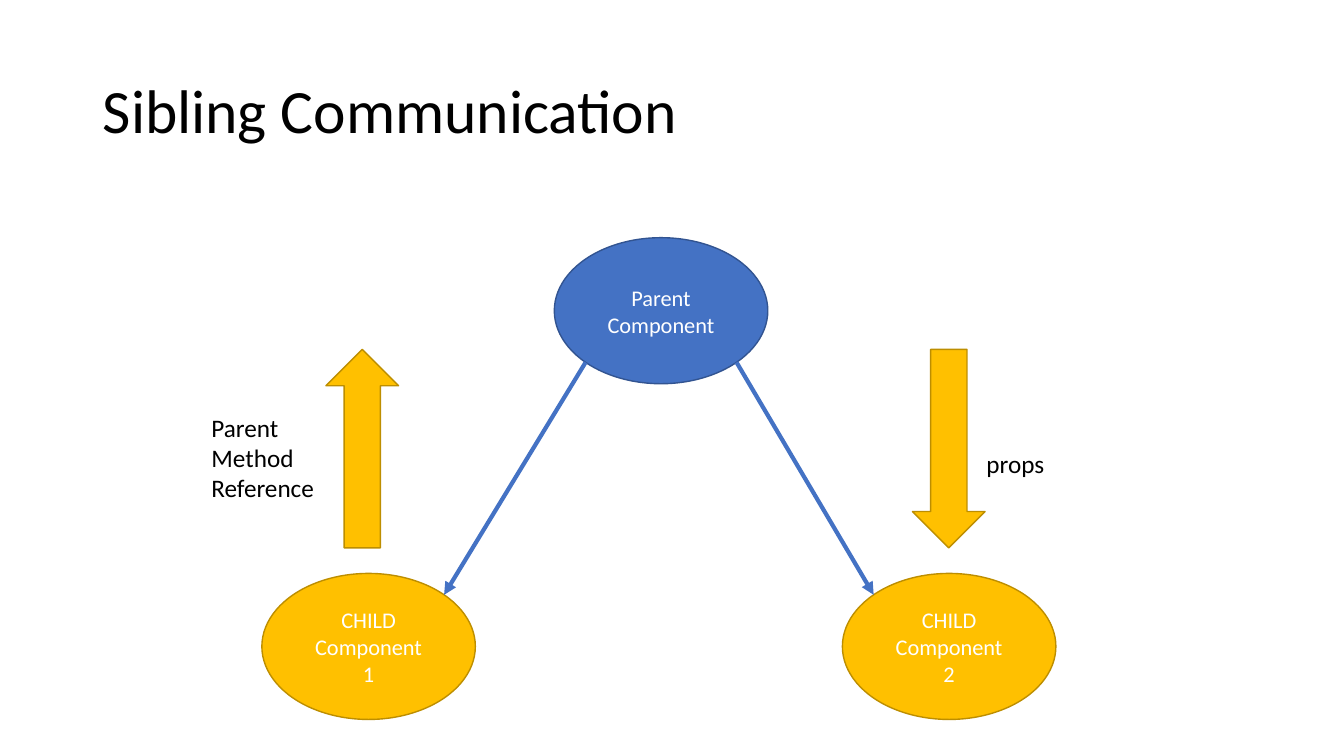
import math
import pptx
import pptx.util
import pptx.dml.color
import pptx.enum.shapes
import pptx.enum.text
import pptx.oxml.ns
import lxml.etree

Cm = pptx.util.Cm
Pt = pptx.util.Pt
RGBColor = pptx.dml.color.RGBColor
Shape = pptx.enum.shapes.MSO_SHAPE
Align = pptx.enum.text.PP_ALIGN
Anchor = pptx.enum.text.MSO_ANCHOR
Fit = pptx.enum.text.MSO_AUTO_SIZE

BLACK = RGBColor(0x00, 0x00, 0x00)
WHITE = RGBColor(0xFF, 0xFF, 0xFF)
BLUE = RGBColor(0x44, 0x72, 0xC4)
NAVY = RGBColor(0x32, 0x54, 0x91)
GOLD = RGBColor(0xFF, 0xC0, 0x00)
BROWN = RGBColor(0xBD, 0x8E, 0x00)
FONT = "Calibri"
NODE_W, NODE_H = 5.38, 3.68
ARROW_W, ARROW_H = 5, 1.83


def write(frame, lines, size, color, align=Align.LEFT):
    """Fill a text frame with one paragraph per line."""
    for i, line in enumerate(lines):
        para = frame.paragraphs[0] if i == 0 else frame.add_paragraph()
        para.alignment = align
        run = para.add_run()
        run.text = line
        run.font.name = FONT
        run.font.size = Pt(size)
        run.font.color.rgb = color


def add_form(slide, kind, box, fill, edge):
    """Add a filled and outlined preset shape."""
    form = slide.shapes.add_shape(kind, *map(Cm, box))
    form.shadow.inherit = False
    form.fill.solid()
    form.fill.fore_color.rgb = fill
    form.line.color.rgb = edge
    form.line.width = Pt(1)
    return form


def add_node(slide, left, top, lines, fill, edge):
    """Add a component ellipse with centred text."""
    node = add_form(slide, Shape.OVAL, (left, top, NODE_W, NODE_H), fill, edge)
    node.text_frame.word_wrap = True
    node.text_frame.vertical_anchor = Anchor.MIDDLE
    write(node.text_frame, lines, 16, WHITE, Align.CENTER)


def rim(left, top, across, down):
    """Return the diagonal point on the rim of a node."""
    reach = math.sqrt(0.5)
    return (Cm(left + NODE_W / 2 * (1 + across * reach)),
            Cm(top + NODE_H / 2 * (1 + down * reach)))


def add_link(slide, start, end):
    """Add a blue line with an arrowhead at its end."""
    link = slide.shapes.add_connector(
        pptx.enum.shapes.MSO_CONNECTOR.STRAIGHT, *start, *end)
    link.line.color.rgb = BLUE
    link.line.width = Pt(3)
    qn = pptx.oxml.ns.qn
    lxml.etree.SubElement(link.line._get_or_add_ln(), qn("a:tailEnd"), type="triangle")
    lxml.etree.SubElement(link._element.spPr, qn("a:effectLst"))


def add_label(slide, box, lines):
    """Add a black label that does not wrap."""
    frame = slide.shapes.add_textbox(*map(Cm, box)).text_frame
    frame.word_wrap = False
    frame.auto_size = Fit.SHAPE_TO_FIT_TEXT
    write(frame, lines, 18, BLACK)


def add_title(slide, box):
    """Add the slide title."""
    frame = slide.shapes.add_textbox(*map(Cm, box)).text_frame
    frame.word_wrap = True
    frame.vertical_anchor = Anchor.MIDDLE
    write(frame, ["Sibling Communication"], 44, BLACK)
    frame.paragraphs[0].line_spacing = 0.9


def add_tree(slide, left, top):
    """Add the parent, its two children, and the flow between them."""
    parent = left + 8.89, top
    kids = [(left + x, top + 8.46) for x in (1.52, 16.15)]
    add_node(slide, *parent, ["Parent Component"], BLUE, NAVY)
    for i, kid in enumerate(kids, 1):
        add_node(slide, *kid, ["CHILD Component", str(i)], GOLD, BROWN)
    for kid, side in zip(kids, (-1, 1)):
        add_link(slide, rim(*parent, side, 1), rim(*kid, -side, -1))
    for x, turn in ((1.55, 270), (16.33, 90)):
        box = left + x, top + 4.4, ARROW_W, ARROW_H
        add_form(slide, Shape.RIGHT_ARROW, box, GOLD, BROWN).rotation = turn
    add_label(slide, (left, top + 4.27, 3.33, 2.57), ["Parent", "Method", "Reference"])
    add_label(slide, (left + 19.53, top + 5.19, 1.98, 1.02), ["props"])


def main():
    """Build and save the slide."""
    deck = pptx.Presentation()
    deck.slide_width, deck.slide_height = Cm(33.87), Cm(19.05)
    slide = deck.slides.add_slide(deck.slide_layouts[6])
    add_title(slide, (2.34, 1.02, 29.21, 3.68))
    add_tree(slide, 5.08, 5.99)
    deck.save("out.pptx")


main()
